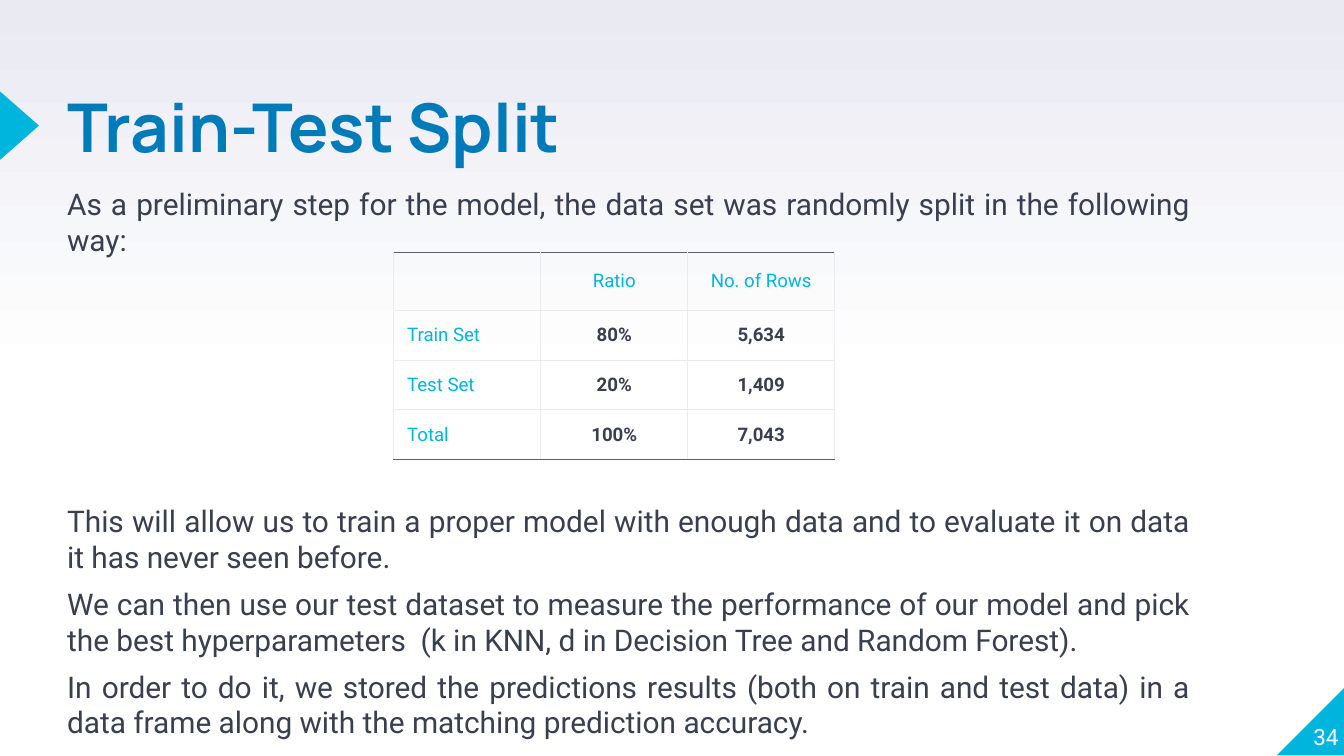
import pptx
import pptx.util
from pptx.dml.color import RGBColor
from pptx.enum.shapes import MSO_SHAPE
from pptx.enum.text import MSO_ANCHOR, PP_ALIGN
from pptx.oxml import parse_xml
from pptx.oxml.ns import nsdecls
from pptx.util import Inches

BLUE = RGBColor(0x00, 0x7B, 0xB9)
CYAN = RGBColor(0x00, 0xB5, 0xDD)
INK = RGBColor(0x3A, 0x3F, 0x50)
GRAY = RGBColor(0x60, 0x60, 0x60)
PALE = RGBColor(0xE9, 0xEA, 0xF2)
WHITE = RGBColor(0xFF, 0xFF, 0xFF)


def write(frame, *texts, size, color, font="Roboto", bold=False, align=PP_ALIGN.LEFT,
          anchor=MSO_ANCHOR.TOP, gap=0, spacing=None):
    """Fill a text frame with one paragraph per text."""
    frame.word_wrap = True
    frame.vertical_anchor = anchor
    frame.margin_left = frame.margin_right = 0
    frame.margin_top = frame.margin_bottom = 0
    for index, text in enumerate(texts):
        para = frame.add_paragraph() if index else frame.paragraphs[0]
        para.alignment = align
        para.space_before = pptx.util.Pt(gap if index else 0)
        para.line_spacing = spacing
        span = para.add_run()
        span.text = text
        span.font.name = font
        span.font.size = pptx.util.Pt(size)
        span.font.bold = bold
        span.font.color.rgb = color


def set_borders(cell, **colors):
    """Draw the cell's borders: pale, or thinner in a given colour."""
    properties = cell._tc.get_or_add_tcPr()
    for index, side in enumerate(("L", "R", "T", "B")):
        width = pptx.util.Pt(0.5 if side in colors else 0.75)
        properties.insert(index, parse_xml(
            f'<a:ln{side} {nsdecls("a")} w="{width}"><a:solidFill>'
            f'<a:srgbClr val="{colors.get(side, PALE)}"/></a:solidFill></a:ln{side}>'))


# Widescreen page, 16 to 9
deck = pptx.Presentation()
deck.slide_width = Inches(10)
deck.slide_height = Inches(10) * 9 // 16
page = deck.slides.add_slide(deck.slide_layouts[5])

# Background: white, shading to pale at the top
background = page.background.fill
background.gradient()
background.gradient_angle = 90
for stop, position, color in zip(background.gradient_stops, (0.5, 1), (WHITE, PALE)):
    stop.position = position
    stop.color.rgb = color

# Corner and title marker
corner = page.shapes.add_shape(MSO_SHAPE.RIGHT_TRIANGLE, Inches(9.5), Inches(5.11),
                               Inches(0.51), Inches(0.51))
corner._element.spPr.get_or_add_xfrm().set("flipH", "1")
marker = page.shapes.add_shape(MSO_SHAPE.ISOSCELES_TRIANGLE, Inches(-0.11), Inches(0.79),
                               Inches(0.51), Inches(0.29))
marker.rotation = 90
for shape in (corner, marker):
    shape.shadow.inherit = False
    shape.fill.solid()
    shape.fill.fore_color.rgb = CYAN
    shape.line.fill.background()

# Title
title = page.shapes.title
title.left, title.top = Inches(0.5), Inches(0.75)
title.width, title.height = Inches(3.75), Inches(0.48)
write(title.text_frame, "Train-Test Split", size=36, color=BLUE, font="Manrope",
      bold=True, spacing=0.8)

# Text above and below the table
intro = ["As a preliminary step for the model, the data set was randomly split "
         "in the following way:"]
reasons = [
    "This will allow us to train a proper model with enough data and to evaluate it "
    "on data it has never seen before.",
    "We can then use our test dataset to measure the performance of our model and pick "
    "the best hyperparameters  (k in KNN, d in Decision Tree and Random Forest).",
    "In order to do it, we stored the predictions results (both on train and test data) "
    "in a data frame along with the matching prediction accuracy.",
]
for top, height, texts in ((1.38, 0.54, intro), (3.74, 1.8, reasons)):
    box = page.shapes.add_textbox(Inches(0.5), Inches(top), Inches(8.36), Inches(height))
    write(box.text_frame, *texts, size=16, color=INK, align=PP_ALIGN.JUSTIFY, gap=6)

# Page number
number = page.shapes.add_textbox(Inches(9.46), Inches(5.07), Inches(0.5), Inches(0.51))
write(number.text_frame, "34", size=12, color=WHITE, align=PP_ALIGN.RIGHT,
      anchor=MSO_ANCHOR.BOTTOM)

# Split table
rows = [
    ("", "Ratio", "No. of Rows"),
    ("Train Set", "80%", "5,634"),
    ("Test Set", "20%", "1,409"),
    ("Total", "100%", "7,043"),
]
heights = (0.43, 0.37, 0.37, 0.37)
table = page.shapes.add_table(len(rows), 3, Inches(2.93), Inches(1.88),
                              Inches(3.28), Inches(sum(heights))).table
table.horz_banding = False
table.first_row = False
for row, height in zip(table.rows, heights):
    row.height = Inches(height)
for r, texts in enumerate(rows):
    for c, text in enumerate(texts):
        cell = table.cell(r, c)
        cell.fill.background()
        edges = {"T": GRAY} if r == 0 else {"B": GRAY} if r == len(rows) - 1 else {}
        set_borders(cell, **edges)
        cell.vertical_anchor = MSO_ANCHOR.MIDDLE
        cell.margin_left = cell.margin_right = Inches(0.1)
        cell.margin_top = cell.margin_bottom = Inches(0.07)
        is_value = r > 0 and c > 0
        para = cell.text_frame.paragraphs[0]
        para.alignment = PP_ALIGN.CENTER if c else PP_ALIGN.LEFT
        para.font.size = pptx.util.Pt(10)
        if text:
            span = para.add_run()
            span.text = text
            span.font.name = "Roboto"
            span.font.size = pptx.util.Pt(10)
            span.font.bold = is_value
            span.font.color.rgb = INK if is_value else CYAN

deck.save("out.pptx")
